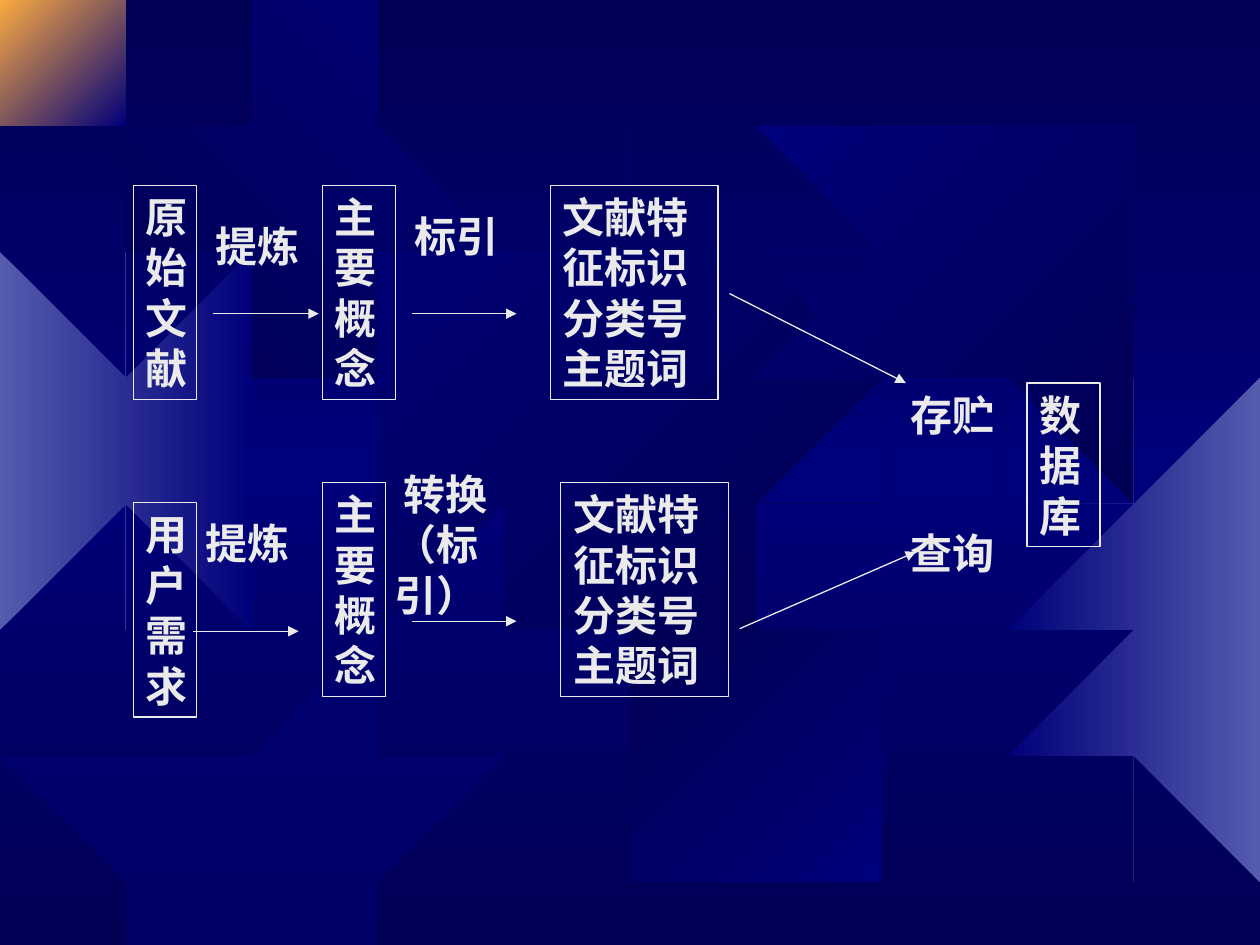
import copy

import pptx
import pptx.dml.color
import pptx.enum.dml
import pptx.enum.shapes
import pptx.enum.text
import pptx.oxml
import pptx.oxml.ns
import pptx.util
from pptx.util import Inches

COLORS = {"ink": "EAEAEA", "dark": "000054", "blue": "00007A",
          "pale": "555BAD", "gold": "FCAB40"}
FONT = "Comic Neue"
FRAME = (-0.01, 0.02, 10.01, 7.54)
SIZE = 4.01
# Outline of a twelve-tooth gear, SIZE inches wide
GEAR = [
    (2.55, 0.67), (2.23, 0.59), (2.19, 0), (1.8, 0.03),
    (1.77, 0.59), (1.51, 0.68), (1.13, 0.2), (0.87, 0.35),
    (1.12, 0.88), (0.94, 1.06), (0.38, 0.85), (0.25, 1.07),
    (0.68, 1.45), (0.61, 1.74), (0.01, 1.78), (0, 2.1),
    (0.61, 2.19), (0.67, 2.46), (0.22, 2.87), (0.38, 3.12),
    (0.88, 2.88), (1.07, 3.07), (0.81, 3.55), (1.06, 3.75),
    (1.51, 3.32), (1.77, 3.4), (1.83, 4), (2.22, 4.01),
    (2.26, 3.39), (2.59, 3.3), (2.99, 3.74), (3.25, 3.58),
    (2.99, 3.06), (3.16, 2.84), (3.68, 3.09), (3.84, 2.81),
    (3.36, 2.46), (3.42, 2.16), (4.01, 2.1), (4, 1.8),
    (3.41, 1.71), (3.35, 1.48), (3.83, 1.14), (3.67, 0.87),
    (3.13, 1.09), (2.96, 0.91), (3.23, 0.41), (2.97, 0.25),
]
# left, top, width, colours, clockwise angle
GEARS = [
    (-0.49, 2.01, 2.96, ("pale", "blue"), 0),
    (0.12, -0.04, 0.92, ("gold", "blue"), 45),
    (1.3, 0.39, 2.48, ("dark", "blue"), 315),
    (2.77, 1.39, 4.01, ("blue", "dark"), 45),
    (0, 5.25, 3.74, ("blue",), 0),
    (4.91, 4.84, 2.48, ("dark", "blue"), 45),
    (6.18, 0.53, 3.2, ("blue", "dark"), 45),
    (7.82, 2.8, 4.37, ("blue", "pale"), 0),
]
TERMS = ["文献特征标识", "分类号", "主题词"]
BOXES = [
    (1.06, 1.47, 0.5, 1.7, ["原始文献"]),
    (2.56, 1.47, 0.58, 1.7, ["主要概念"]),
    (4.37, 1.47, 1.33, 1.7, TERMS),
    (1.06, 3.99, 0.5, 1.7, ["用户需求"]),
    (2.56, 3.83, 0.5, 1.7, ["主要概念"]),
    (4.45, 3.83, 1.33, 1.7, TERMS),
    (8.15, 3.04, 0.58, 1.3, ["数据库"]),
]
LABELS = [
    (1.61, 1.7, 0.92, 0.5, ["提炼"]),
    (3.19, 1.62, 0.92, 0.5, ["标引"]),
    (1.53, 4.06, 0.92, 0.5, ["提炼"]),
    (3.03, 3.67, 1.26, 1.3, [" 转换", "（标引）"]),
    (7.13, 3.04, 0.92, 0.5, ["存贮"]),
    (7.13, 4.14, 0.92, 0.5, ["查询"]),
]
ARROWS = [
    (1.69, 2.49, 2.53, 2.49), (3.27, 2.49, 4.1, 2.49),
    (1.53, 5.01, 2.37, 5.01), (3.27, 4.93, 4.1, 4.93),
    (5.79, 2.33, 7.19, 3.04), (5.87, 4.99, 7.27, 4.38),
]


def rgb(name):
    return pptx.dml.color.RGBColor.from_string(COLORS[name])


def shade(fill, root, names, angle):
    """Fill with evenly spaced colours along a clockwise angle."""
    fill.gradient()
    stops = root.find(".//" + pptx.oxml.ns.qn("a:gsLst"))
    while len(stops) < len(names):
        stops.append(copy.deepcopy(stops[-1]))
    for i, (stop, name) in enumerate(zip(fill.gradient_stops, names)):
        stop.position = i / (len(names) - 1)
        stop.color.rgb = rgb(name)
    fill.gradient_angle = -angle % 360


def clip(points, axis, limit, sign):
    """Keep the part of a polygon on one side of an upright or level line."""
    kept = []
    for a, b in zip(points[-1:] + points[:-1], points):
        a_in = (a[axis] - limit) * sign >= 0
        b_in = (b[axis] - limit) * sign >= 0
        if a_in != b_in:
            t = (limit - a[axis]) / (b[axis] - a[axis])
            kept.append(tuple(p + t * (q - p) for p, q in zip(a, b)))
        if b_in:
            kept.append(b)
    return kept


def add_gear(slide, left, top, width, names, angle):
    scale = width / SIZE
    points = [(left + x * scale, top + y * scale) for x, y in GEAR]
    for i, limit in enumerate(FRAME):
        points = clip(points, i % 2, limit, 1 if i < 2 else -1)
    form = slide.shapes.build_freeform(*points[0], scale=Inches(1))
    form.add_line_segments(points[1:], close=True)
    gear = form.convert_to_shape()
    gear.shadow.inherit = False
    gear.line.fill.background()
    if len(names) > 1:
        shade(gear.fill, gear.element, names, angle)
        return
    gear.fill.solid()
    gear.fill.fore_color.rgb = rgb(names[0])
    color = gear.element.find(".//" + pptx.oxml.ns.qn("a:srgbClr"))
    color.append(pptx.oxml.parse_xml(
        f'<a:alpha {pptx.oxml.ns.nsdecls("a")} val="50000"/>'))


def write(shape, lines):
    frame = shape.text_frame
    frame.word_wrap = True
    frame.auto_size = pptx.enum.text.MSO_AUTO_SIZE.SHAPE_TO_FIT_TEXT
    frame.vertical_anchor = pptx.enum.text.MSO_ANCHOR.TOP
    for i, line in enumerate(lines):
        para = frame.add_paragraph() if i else frame.paragraphs[0]
        para.alignment = pptx.enum.text.PP_ALIGN.LEFT
        run = para.add_run()
        run.text = line
        run.font.name = FONT
        run.font.size = pptx.util.Pt(24)
        run.font.bold = True
        run.font.color.rgb = rgb("ink")


def trace(line):
    line.color.rgb = rgb("ink")
    line.width = pptx.util.Pt(0.75)


def add_box(slide, *place, lines):
    kind = pptx.enum.shapes.MSO_SHAPE.RECTANGLE
    box = slide.shapes.add_shape(kind, *map(Inches, place))
    box.shadow.inherit = False
    box.fill.background()
    trace(box.line)
    write(box, lines)


def add_label(slide, *place, lines):
    write(slide.shapes.add_textbox(*map(Inches, place)), lines)


def add_arrow(slide, *ends):
    kind = pptx.enum.shapes.MSO_CONNECTOR.STRAIGHT
    arrow = slide.shapes.add_connector(kind, *map(Inches, ends))
    trace(arrow.line)
    space = pptx.oxml.ns.nsdecls("a")
    arrow.line._get_or_add_ln().append(
        pptx.oxml.parse_xml(f'<a:tailEnd {space} type="triangle"/>'))
    arrow.element.spPr.append(
        pptx.oxml.parse_xml(f'<a:effectLst {space}/>'))


def main():
    deck = pptx.Presentation()
    deck.slide_width, deck.slide_height = Inches(10), Inches(7.5)
    slide = deck.slides.add_slide(deck.slide_layouts[6])
    shade(slide.background.fill, slide.element, ("dark", "blue", "dark"), 90)
    for gear in GEARS:
        add_gear(slide, *gear)
    for *place, lines in BOXES:
        add_box(slide, *place, lines=lines)
    for *place, lines in LABELS:
        add_label(slide, *place, lines=lines)
    for ends in ARROWS:
        add_arrow(slide, *ends)
    deck.save("out.pptx")


if __name__ == "__main__":
    main()
